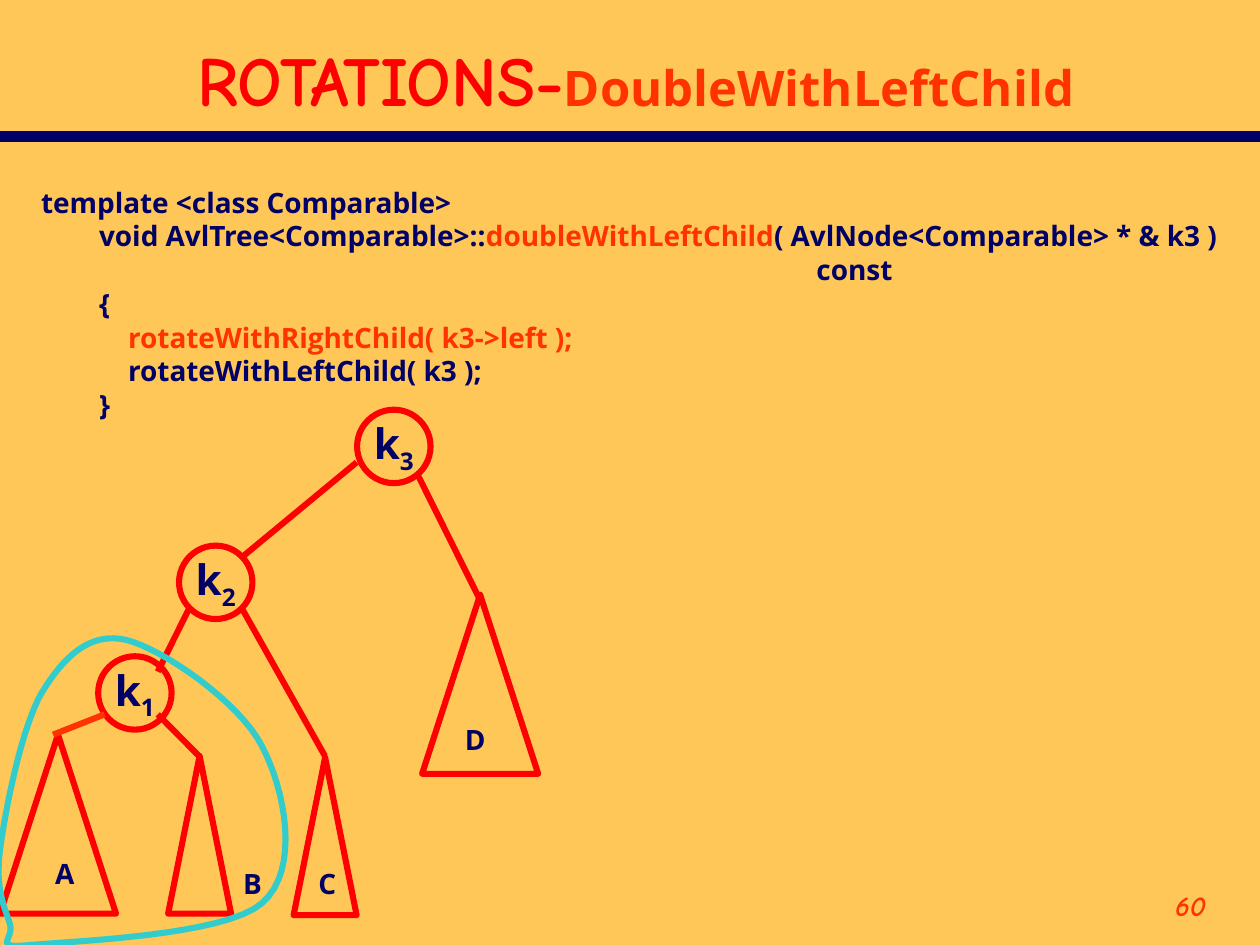
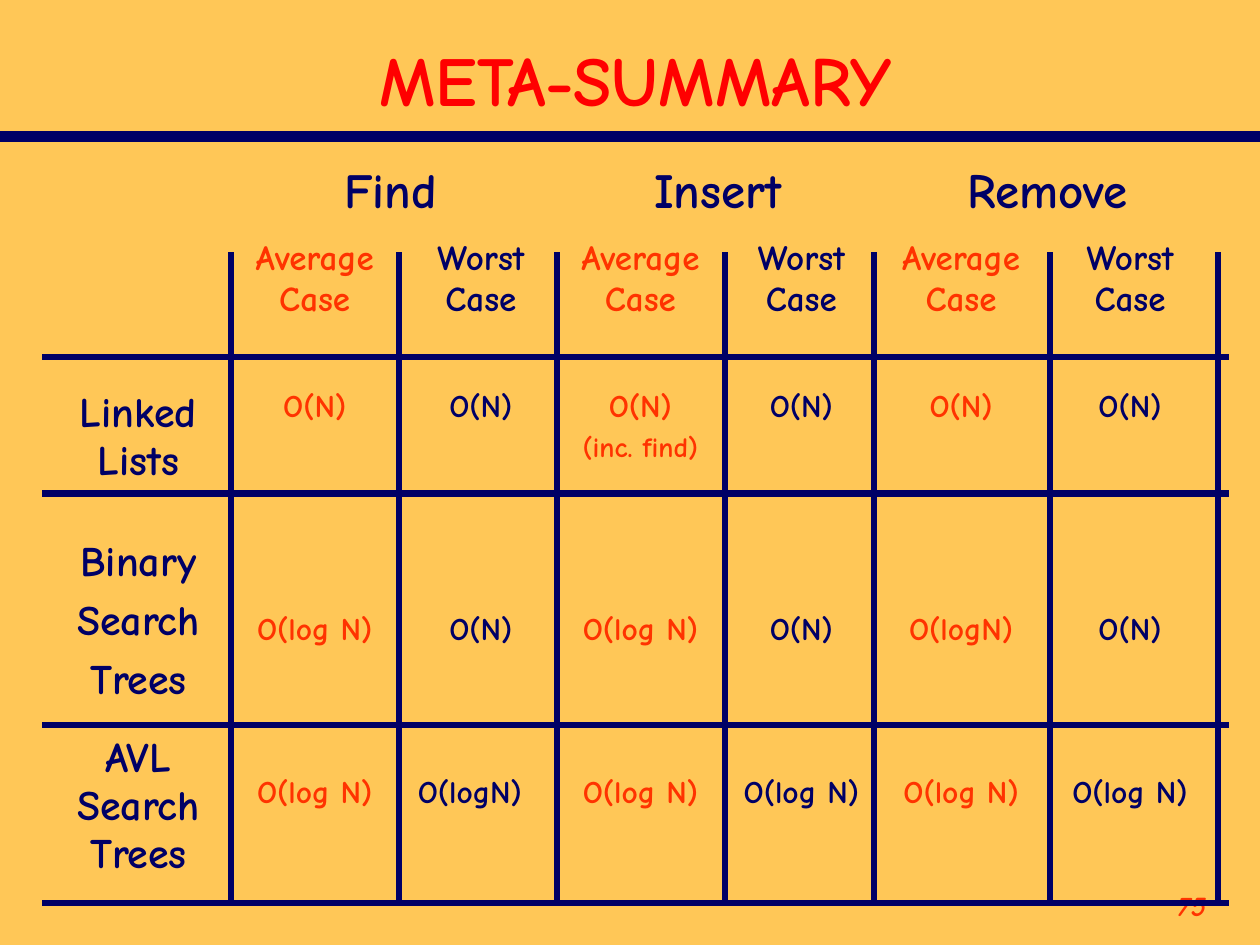
from lxml import etree
from pptx import Presentation
from pptx.dml.color import RGBColor
from pptx.enum.shapes import MSO_CONNECTOR, MSO_SHAPE
from pptx.enum.text import MSO_ANCHOR, PP_ALIGN
from pptx.oxml.ns import qn
from pptx.util import Cm, Pt

SAND = RGBColor(0xFF, 0xC7, 0x57)
NAVY = RGBColor(0x00, 0x00, 0x66)
RED = RGBColor(0xFF, 0x00, 0x00)
ORANGE = RGBColor(0xFF, 0x33, 0x00)
TEAL = RGBColor(0x33, 0xCC, 0xCC)

HAND_FONT = "Comic Neue"
CODE_FONT = "Open Sans"
CODE_LEADING = Pt(19.25)
STROKE = 3.5
NO_GRID_STYLE = "{2D5ABB26-0587-4C30-8999-92F81FD0307C}"

CODE = [
    [("template <class Comparable>", NAVY)],
    [("        void AvlTree<Comparable>::", NAVY), ("doubleWithLeftChild", ORANGE),
     ("( AvlNode<Comparable> * & k3 )", NAVY)],
    [(" " * 107 + "const", NAVY)],
    [("        {", NAVY)],
    [("            rotateWithRightChild( k3->left );", ORANGE)],
    [("            rotateWithLeftChild( k3 );", NAVY)],
    [("        }", NAVY)],
]

NODE_SIZE = 1.48
NODES = {"1": (1.98, 13.23), "2": (3.61, 11), "3": (7.2, 8.26)}
SUBTREES = {
    "A": ((0, 14.81, 2.34, 3.61), (0.86, 17.15)),
    "B": ((3.39, 15.24, 1.27, 3.18), (4.65, 17.35)),
    "C": ((5.92, 15.27, 1.27, 3.18), (6.17, 17.35)),
    "D": ((8.51, 11.99, 2.34, 3.61), (9.12, 14.43)),
}
EDGES = [
    (3.81, 12.27, 3.18, 13.54, RED),
    (4.88, 12.27, 6.55, 15.24, RED),
    (7.19, 9.32, 4.88, 11.23, RED),
    (8.41, 9.55, 9.65, 12.04, RED),
    (3.18, 14.4, 4.01, 15.24, RED),
    (1.07, 14.81, 2.11, 14.4, ORANGE),
]
LOOP_START = (0.2, 18.62)
LOOP_CURVES = [
    ((0.1, 18.31), (-0.1, 17.93), (0, 17.15)),
    ((0.1, 16.36), (0.43, 14.68), (0.84, 13.97)),
    ((1.27, 13.26), (1.8, 12.73), (2.54, 12.9)),
    ((3.28, 13.08), (4.83, 14.15), (5.28, 15.04)),
    ((5.74, 15.9), (6.07, 17.53), (5.28, 18.21)),
    ((4.52, 18.87), (1.47, 18.97), (0.64, 19.05)),
    ((-0.2, 19.13), (0.3, 18.95), LOOP_START),
]
CURVE_STEPS = 16

COSTS = [
    ["", "Find", "", "Insert", "", "Remove", ""],
    [""] + ["Average Case", "Worst Case"] * 3,
    ["Linked Lists", "O(N)", "O(N)", "O(N)\n(inc. find)", "O(N)", "O(N)", "O(N)"],
    ["Binary\nSearch\nTrees", "O(log N)", "O(N)", "O(log N)", "O(N)", "O(logN)", "O(N)"],
    ["AVL Search Trees", "O(log N)", "O(logN)", "O(log N)", "O(log N)", "O(log N)", "O(log N)"],
]
COLUMN_WIDTHS = [3.46, 3.65, 3.05, 3.38, 3.11, 3.33, 3.48]
ROW_HEIGHTS = [1.52, 3.02, 3.02, 3.94, 3.53]
MERGES = [(0, 0, 1, 0), (0, 1, 0, 2), (0, 3, 0, 4), (0, 5, 0, 6)]
AVL_ROW = 4
RULE_ROWS = [7.2, 9.95, 14.61, 18.2]
RULE_COLUMNS = [4.66, 8.04, 11.22, 14.61, 17.61, 21.17, 24.55]
RULE_LEFT, RULE_RIGHT = 0.85, 24.77
RULE_TOP, RULE_BOTTOM = 5.08, 18.2


def add_run(paragraph, text, size, color, font=HAND_FONT):
    run = paragraph.add_run()
    run.text = text
    run.font.size = Pt(size)
    run.font.name = font
    run.font.bold = True
    run.font.color.rgb = color
    return run


def add_line(slide, left, top, right, bottom, color, width=STROKE):
    line = slide.shapes.add_connector(
        MSO_CONNECTOR.STRAIGHT, Cm(left), Cm(top), Cm(right), Cm(bottom))
    line.line.color.rgb = color
    line.line.width = Pt(width)
    etree.SubElement(line._element.spPr, qn("a:effectLst"))


def outline(shape, color):
    shape.shadow.inherit = False
    shape.fill.background()
    shape.line.color.rgb = color
    shape.line.width = Pt(STROKE)


def add_code_box(slide, left, top, width, height, lines):
    box = slide.shapes.add_textbox(Cm(left), Cm(top), Cm(width), Cm(height))
    frame = box.text_frame
    frame.word_wrap = False
    for index, runs in enumerate(lines):
        paragraph = frame.add_paragraph() if index else frame.paragraphs[0]
        paragraph.line_spacing = CODE_LEADING
        for text, color in runs:
            add_run(paragraph, text, 16, color, CODE_FONT)


def add_base_slide(presentation, title_runs, number):
    slide = presentation.slides.add_slide(presentation.slide_layouts[5])
    add_line(slide, 0, 2.75, 25.4, 2.75, NAVY, 6)
    box = slide.shapes.add_textbox(Cm(22.02), Cm(17.78), Cm(2.54), Cm(1.27))
    box.text_frame.word_wrap = True
    paragraph = box.text_frame.paragraphs[0]
    paragraph.alignment = PP_ALIGN.RIGHT
    add_run(paragraph, number, 16, ORANGE).font.italic = True

    title = slide.shapes.title
    title.left, title.top, title.width, title.height = Cm(1.06), Cm(0.64), Cm(23.5), Cm(1.9)
    title.text_frame.vertical_anchor = MSO_ANCHOR.MIDDLE
    paragraph = title.text_frame.paragraphs[0]
    paragraph.alignment = PP_ALIGN.CENTER
    for run in title_runs:
        add_run(paragraph, *run)
    return slide


def add_node(slide, subscript, left, top):
    node = slide.shapes.add_shape(
        MSO_SHAPE.OVAL, Cm(left), Cm(top), Cm(NODE_SIZE), Cm(NODE_SIZE))
    outline(node, RED)
    frame = node.text_frame
    frame.word_wrap = False
    frame.margin_left = frame.margin_right = frame.margin_top = frame.margin_bottom = 0
    frame.vertical_anchor = MSO_ANCHOR.MIDDLE
    paragraph = frame.paragraphs[0]
    paragraph.alignment = PP_ALIGN.CENTER
    add_run(paragraph, "k", 24, NAVY, CODE_FONT)
    run = add_run(paragraph, subscript, 24, NAVY, CODE_FONT)
    run.font._element.set("baseline", "-25000")


def curve_points(start, curves):
    for first, second, end in curves:
        for step in range(1, CURVE_STEPS + 1):
            t = step / CURVE_STEPS
            u = 1 - t
            yield tuple(
                Cm(u**3 * a + 3 * u * u * t * b + 3 * u * t * t * c + t**3 * d)
                for a, b, c, d in zip(start, first, second, end))
        start = end


def build_rotation_slide(presentation):
    slide = add_base_slide(presentation, [
        ("ROTATIONS-", 40, RED), ("DoubleWithLeftChild", 28, ORANGE, CODE_FONT)], "60")
    add_code_box(slide, 0.58, 3.61, 24.43, 5, CODE)
    for subscript, position in NODES.items():
        add_node(slide, subscript, *position)
    for letter, (bounds, label) in SUBTREES.items():
        triangle = slide.shapes.add_shape(MSO_SHAPE.ISOSCELES_TRIANGLE, *map(Cm, bounds))
        outline(triangle, RED)
        add_code_box(slide, *label, 0.9, 0.94, [[(letter, NAVY)]])
    for edge in EDGES:
        add_line(slide, *edge)
    builder = slide.shapes.build_freeform(*map(Cm, LOOP_START))
    builder.add_line_segments(curve_points(LOOP_START, LOOP_CURVES), close=True)
    outline(builder.convert_to_shape(), TEAL)


def text_size(row, column, line):
    if row < 2:
        return (28, 20)[row]
    if column == 0:
        return 24
    return 16 if line else 18


def fill_cell(cell, text, row, column):
    cell.fill.background()
    if column and row > 2:
        cell.vertical_anchor = MSO_ANCHOR.MIDDLE
    if column and row == AVL_ROW:
        cell.margin_bottom = Cm(1.02)
    if not text:
        return
    color = ORANGE if row and column % 2 else NAVY
    left_aligned = (row, column) == (AVL_ROW, 2)
    for index, line in enumerate(text.split("\n")):
        size = text_size(row, column, index)
        paragraph = cell.text_frame.add_paragraph() if index else cell.text_frame.paragraphs[0]
        paragraph.alignment = PP_ALIGN.LEFT if left_aligned else PP_ALIGN.CENTER
        if index:
            paragraph.space_before = Pt(size / 4)
        add_run(paragraph, line, size, color)


def build_summary_slide(presentation):
    slide = add_base_slide(presentation, [("META-SUMMARY", 40, RED)], "75")
    frame = slide.shapes.add_table(
        len(COSTS), len(COLUMN_WIDTHS), Cm(1.06), Cm(3.18),
        Cm(sum(COLUMN_WIDTHS)), Cm(sum(ROW_HEIGHTS)))
    table = frame.table
    table.first_row = table.horz_banding = False
    table._tbl.tblPr.find(qn("a:tableStyleId")).text = NO_GRID_STYLE
    for column, width in zip(table.columns, COLUMN_WIDTHS):
        column.width = Cm(width)
    for row, height in zip(table.rows, ROW_HEIGHTS):
        row.height = Cm(height)
    for top, left, bottom, right in MERGES:
        table.cell(top, left).merge(table.cell(bottom, right))
    for row, texts in enumerate(COSTS):
        for column, text in enumerate(texts):
            fill_cell(table.cell(row, column), text, row, column)
    for y in RULE_ROWS:
        add_line(slide, RULE_LEFT, y, RULE_RIGHT, y, NAVY)
    for x in RULE_COLUMNS:
        add_line(slide, x, RULE_TOP, x, RULE_BOTTOM, NAVY)


def main():
    presentation = Presentation()
    presentation.slide_width, presentation.slide_height = Cm(25.4), Cm(19.05)
    background = presentation.slide_master.background.fill
    background.solid()
    background.fore_color.rgb = SAND
    build_rotation_slide(presentation)
    build_summary_slide(presentation)
    presentation.save("out.pptx")


if __name__ == "__main__":
    main()
